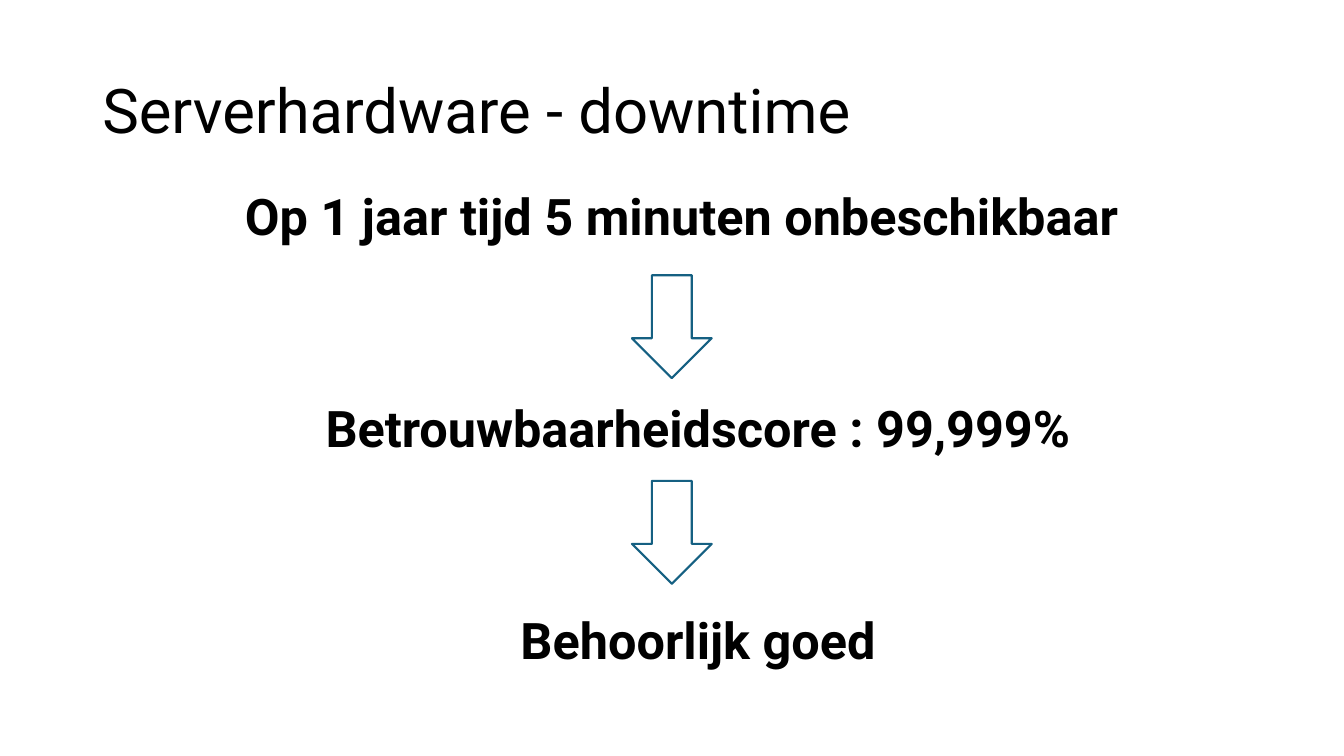
from pptx import Presentation
from pptx.dml.color import RGBColor
from pptx.enum.shapes import MSO_SHAPE
from pptx.enum.text import MSO_ANCHOR, PP_ALIGN
from pptx.util import Pt

LEFT, CENTER = PP_ALIGN.LEFT, PP_ALIGN.CENTER
TOP, MIDDLE = MSO_ANCHOR.TOP, MSO_ANCHOR.MIDDLE
DOWN_ARROW = MSO_SHAPE.DOWN_ARROW

TITLE = "Serverhardware - downtime"
STATEMENTS = [
    ("Op 1 jaar tijd 5 minuten onbeschikbaar", LEFT),
    ("Betrouwbaarheidscore : 99,999%", CENTER),
    ("Behoorlijk goed", CENTER),
]

FONT = "Roboto"
COLORS = {"text": "000000", "arrow_fill": "FFFFFF", "arrow_line": "156082"}

# Lengths in points
PAGE_WIDTH, PAGE_HEIGHT = 960, 540
TITLE_AREA = (66, 28.8, 828, 104.4)
STATEMENT_LEFT, STATEMENT_TOP, STATEMENT_STEP = 167.8, 128.9, 151.2
STATEMENT_WIDTH, STATEMENT_HEIGHT = 661.7, 51
ARROW_LEFT, ARROW_TOP, ARROW_STEP = 451.4, 196.6, 146.9
ARROW_WIDTH, ARROW_HEIGHT = 57, 73.5


def color(name):
    return RGBColor.from_string(COLORS[name])


def add_text(page, area, text, size, bold=False, align=LEFT, anchor=TOP, line_spacing=1.0):
    box = page.shapes.add_textbox(*map(Pt, area))
    frame = box.text_frame
    frame.word_wrap = True
    frame.vertical_anchor = anchor
    frame.text = text
    para = frame.paragraphs[0]
    para.alignment = align
    para.line_spacing = line_spacing
    font = para.runs[0].font
    font.name, font.size, font.bold = FONT, Pt(size), bold
    font.color.rgb = color("text")


def add_down_arrow(page, top):
    area = (ARROW_LEFT, top, ARROW_WIDTH, ARROW_HEIGHT)
    arrow = page.shapes.add_shape(DOWN_ARROW, *map(Pt, area))
    arrow.shadow.inherit = False
    arrow.fill.solid()
    arrow.fill.fore_color.rgb = color("arrow_fill")
    arrow.line.color.rgb = color("arrow_line")
    arrow.line.width = Pt(1.5)


def main():
    deck = Presentation()
    deck.slide_width, deck.slide_height = Pt(PAGE_WIDTH), Pt(PAGE_HEIGHT)
    page = deck.slides.add_slide(deck.slide_layouts[6])

    add_text(page, TITLE_AREA, TITLE, 44, anchor=MIDDLE, line_spacing=0.9)
    for index, (text, align) in enumerate(STATEMENTS):
        top = STATEMENT_TOP + index * STATEMENT_STEP
        area = (STATEMENT_LEFT, top, STATEMENT_WIDTH, STATEMENT_HEIGHT)
        add_text(page, area, text, 36, bold=True, align=align)
    for index in range(len(STATEMENTS) - 1):
        add_down_arrow(page, ARROW_TOP + index * ARROW_STEP)

    deck.save("out.pptx")


if __name__ == "__main__":
    main()
